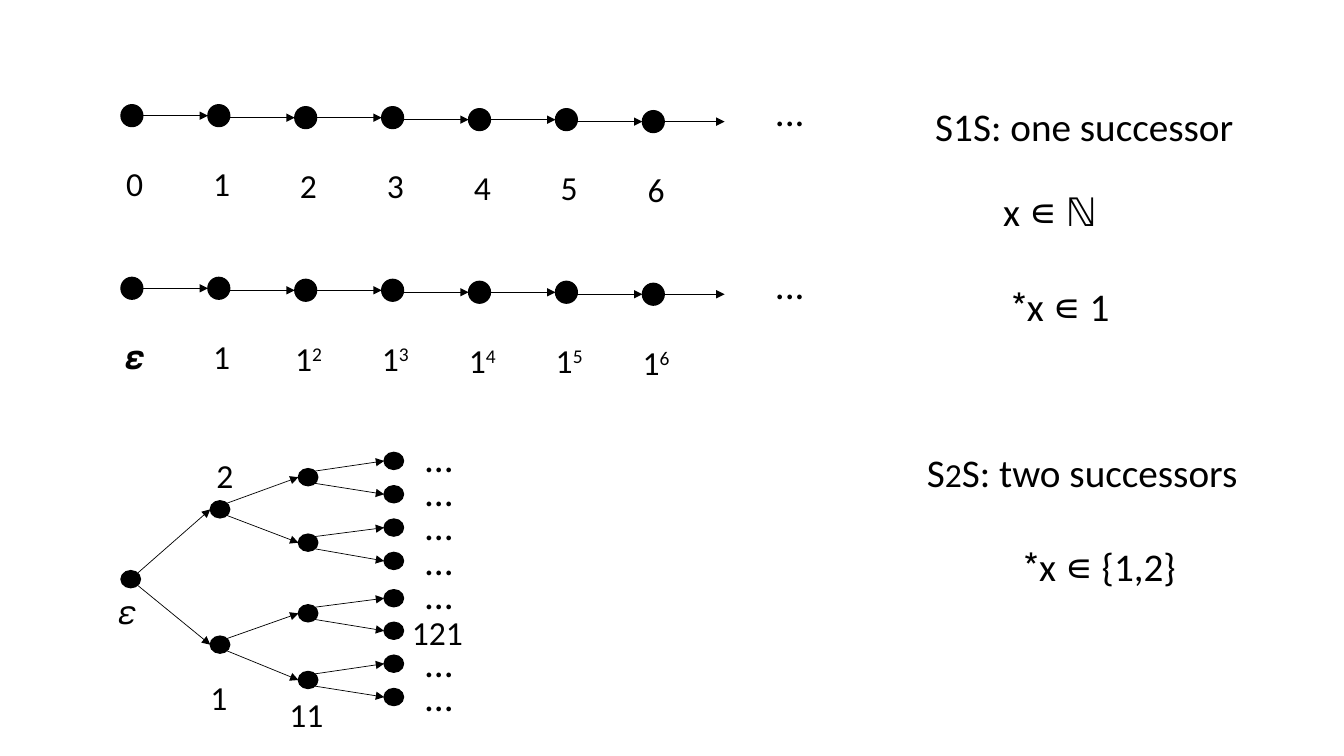
"""Build the slide that compares one-successor chains with a two-successor tree."""
from lxml.etree import SubElement
from pptx import Presentation
from pptx.dml.color import RGBColor
from pptx.enum.shapes import MSO_CONNECTOR, MSO_SHAPE
from pptx.enum.text import MSO_AUTO_SIZE, PP_ALIGN
from pptx.oxml.ns import qn
from pptx.util import Cm, Pt

COLOURS = {"ink": "000000"}
FONT = "Calibri"

CHAINS = [
    (2.64, [("0", ""), ("1", ""), ("2", ""), ("3", ""), ("4", ""), ("5", ""), ("6", "")]),
    (6.99, [("𝜺", ""), ("1", ""), ("1", "2"), ("1", "3"), ("1", "4"), ("1", "5"), ("1", "6")]),
]
CHAIN_LEFT, CHAIN_PITCH, CHAIN_DOT = 3.05, 2.19, 0.55
CHAIN_DRIFT = 0.05

TREE_COLUMNS = [
    (3.05, [14.38]),
    (5.30, [12.62, 16.03]),
    (7.52, [11.81, 13.46, 15.24, 16.92]),
    (9.68, [11.40, 12.24, 13.08, 13.92, 14.86, 15.68, 16.51, 17.35]),
]
TREE_DOT_WIDTH, TREE_DOT_HEIGHT = 0.49, 0.43
TREE_LABELS = [("𝜀", 2.11, 14.76), ("11", 6.63, 17.35), ("2", 4.57, 11.33), ("1", 4.42, 16.92)]
NAMED_LEAF, NAMED_LEAF_TEXT = 5, "121"
ELLIPSIS_TOP, ELLIPSIS_PITCH = 10.80, 0.86

HEADINGS = [
    (23.32, 2.46, 8.13, [("S1S: one successor", 28)]),
    (23.11, 11.18, 8.48, [("S", 28), ("2", 24), ("S: two successors", 28)]),
]
DOMAINS = [
    ("x ∊ ℕ", 23.86, 4.60, 4.04),
    ("x ∊ 1*", 24.17, 6.99, 4.04),
    ("x ∊ {1,2}*", 23.18, 13.54, 6.70),
]


def ink():
    return RGBColor.from_string(COLOURS["ink"])


def add_dot(page, left, top, width, height):
    dot = page.shapes.add_shape(MSO_SHAPE.OVAL, Cm(left), Cm(top), Cm(width), Cm(height))
    dot.shadow.inherit = False
    dot.fill.solid()
    dot.fill.fore_color.rgb = ink()
    dot.line.color.rgb = ink()
    dot.line.width = Pt(1)


def add_arrow(page, start, end):
    arrow = page.shapes.add_connector(MSO_CONNECTOR.STRAIGHT, *map(Cm, start + end))
    arrow.line.color.rgb = ink()
    arrow.line.width = Pt(0.5)
    SubElement(arrow.line._get_or_add_ln(), qn("a:tailEnd"), type="triangle")
    SubElement(arrow._element.spPr, qn("a:effectLst"))


def add_text(page, left, top, width, height, runs, align=PP_ALIGN.LEFT, wrap=True):
    box = page.shapes.add_textbox(Cm(left), Cm(top), Cm(width), Cm(height))
    box.text_frame.word_wrap = wrap
    box.text_frame.auto_size = MSO_AUTO_SIZE.SHAPE_TO_FIT_TEXT
    para = box.text_frame.paragraphs[0]
    para.alignment = align
    for text, size in runs:
        span = para.add_run()
        span.text = text
        span.font.name = FONT
        span.font.size = Pt(size)
        span.font.color.rgb = ink()
    return para


def add_label(page, left, top, base, power=""):
    runs = [(text, 24) for text in (base, power) if text]
    para = add_text(page, left, top, 2.19, 1.27, runs, PP_ALIGN.CENTER)
    for span in para.runs[1:]:
        span.font._element.set("baseline", "30000")


def add_chain(page, first_top, labels):
    for index, (base, power) in enumerate(labels):
        left = CHAIN_LEFT + index * CHAIN_PITCH
        top = first_top + index // 2 * CHAIN_DRIFT
        middle = top + CHAIN_DOT / 2
        add_dot(page, left, top, CHAIN_DOT, CHAIN_DOT)
        add_label(page, left - 0.75, top + 1.35, base, power)
        if index:
            add_arrow(page, (left - CHAIN_PITCH + CHAIN_DOT, middle), (left, middle))
    add_arrow(page, (16.61, middle), (18.26, middle))
    add_text(page, 19.28, first_top - 0.56, 5.03, 1.45, [("...", 28)])


def add_tree(page):
    for depth, (left, tops) in enumerate(TREE_COLUMNS):
        for index, top in enumerate(tops):
            add_dot(page, left, top, TREE_DOT_WIDTH, TREE_DOT_HEIGHT)
            if depth:
                parent_left, parent_tops = TREE_COLUMNS[depth - 1]
                exit_drop = 0.37 if index % 2 else 0.06
                start = (parent_left + 0.42, parent_tops[index // 2] + exit_drop)
                add_arrow(page, start, (left, top + TREE_DOT_HEIGHT / 2))
    for index in range(len(TREE_COLUMNS[-1][1])):
        if index == NAMED_LEAF:
            add_text(page, 10.13, 15.29, 4.52, 1.27, [(NAMED_LEAF_TEXT, 24)])
        else:
            top = ELLIPSIS_TOP + index * ELLIPSIS_PITCH
            add_text(page, 10.44, top, 4.52, 1.14, [("...", 28)])
    for text, left, top in TREE_LABELS:
        add_label(page, left, top, text)


def main():
    deck = Presentation()
    deck.slide_width, deck.slide_height = Cm(33.87), Cm(19.05)
    page = deck.slides.add_slide(deck.slide_layouts[6])
    for first_top, labels in CHAINS:
        add_chain(page, first_top, labels)
    add_tree(page)
    for left, top, width, runs in HEADINGS:
        add_text(page, left, top, width, 1.45, runs, wrap=False)
    for text, left, top, width in DOMAINS:
        para = add_text(page, left, top, width, 1.45, [(text, 28)], PP_ALIGN.RIGHT)
        para._p.get_or_add_pPr().set("rtl", "1")
    deck.save("out.pptx")


if __name__ == "__main__":
    main()
